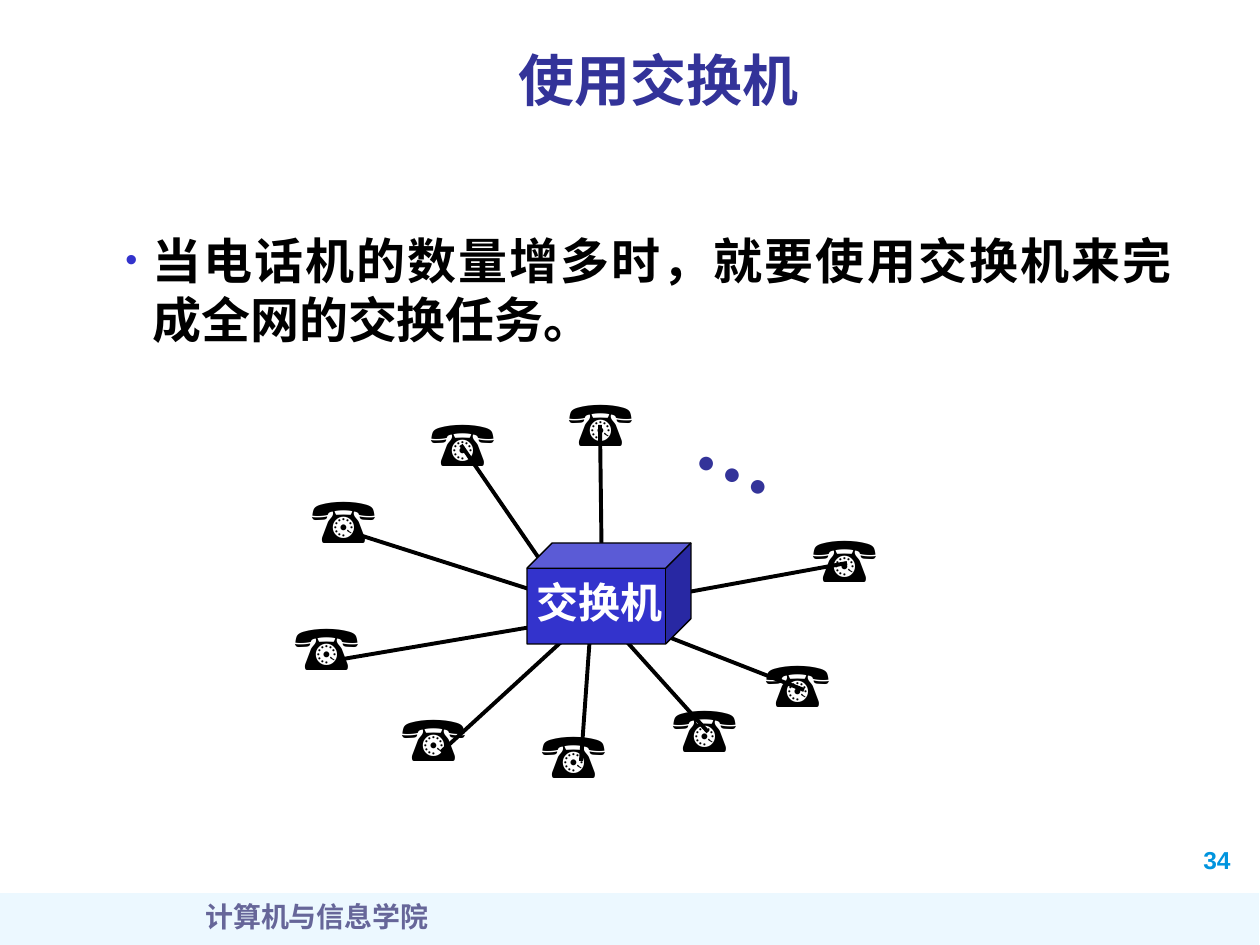
from lxml.etree import SubElement
from pptx import Presentation
from pptx.dml.color import RGBColor
from pptx.enum.shapes import MSO_CONNECTOR as Connector, MSO_SHAPE as Shape
from pptx.enum.text import MSO_ANCHOR as Anchor, PP_ALIGN as Align
from pptx.oxml.ns import qn
from pptx.util import Emu, Pt

EMU_PER_PX = 914400 / 126
COLORS = {
    "title": "333399",
    "switch": "3333CC",
    "ink": "000000",
    "white": "FFFFFF",
    "band": "A7E2FF",
    "number": "0094DE",
    "footer": "666699",
    "shadow": "C0C0C0",
}
SERIF, SANS = "Times New Roman", "Arial"

# Phone box corner, then the line from the phone to the switch
PHONES = [
    ((753, 638), (804, 690), (630, 622)),
    ((529, 709), (581, 761), (591, 622)),
    ((282, 601), (343, 659), (561, 622)),
    ((418, 397), (461, 445), (547, 570)),
    ((556, 377), (600, 425), (602, 583)),
    ((800, 513), (847, 563), (650, 599)),
    ((299, 474), (353, 533), (554, 597)),
    ((389, 692), (441, 752), (571, 633)),
    ((660, 683), (708, 732), (591, 602)),
]


def px(*values):
    return [Emu(round(value * EMU_PER_PX)) for value in values]


def rgb(name):
    return RGBColor.from_string(COLORS[name])


def add_run(paragraph, text, size, color, font):
    run = paragraph.add_run()
    run.text = text
    run.font.size = Pt(size)
    run.font.bold = True
    run.font.name = font
    run.font.color.rgb = rgb(color)
    return run


def add_text(slide, box, text, size, color, font=SERIF, align=Align.LEFT):
    shape = slide.shapes.add_textbox(*px(*box))
    shape.text_frame.word_wrap = True
    paragraph = shape.text_frame.paragraphs[0]
    paragraph.alignment = align
    add_run(paragraph, text, size, color, font)
    return shape


def add_solid(slide, kind, box, color):
    shape = slide.shapes.add_shape(kind, *px(*box))
    shape.shadow.inherit = False
    shape.fill.solid()
    shape.fill.fore_color.rgb = rgb(color)
    return shape


def add_line(slide, start, end):
    line = slide.shapes.add_connector(Connector.STRAIGHT, *px(*start, *end))
    line.line.color.rgb = rgb("ink")
    line.line.width = Pt(2.25)
    SubElement(line._element.spPr, qn("a:effectLst"))


def add_text_shadow(run):
    properties = run._r.get_or_add_rPr()
    effects = SubElement(properties, qn("a:effectLst"))
    shadow = SubElement(effects, qn("a:outerShdw"), dist="35921", dir="2700000")
    SubElement(shadow, qn("a:srgbClr"), val=COLORS["shadow"])
    properties.find(qn("a:solidFill")).addnext(effects)


def add_bullet(paragraph):
    indent = px(27)[0]
    properties = paragraph._p.get_or_add_pPr()
    properties.set("marL", str(indent))
    properties.set("indent", str(-indent))
    color = SubElement(properties, qn("a:buClr"))
    SubElement(color, qn("a:srgbClr"), val=COLORS["switch"])
    SubElement(properties, qn("a:buSzPct"), val="70000")
    SubElement(properties, qn("a:buFont"), typeface=SANS)
    SubElement(properties, qn("a:buChar"), char="•")


def add_footer(slide):
    band = add_solid(slide, Shape.RECTANGLE, (-1, 893, 1260, 55), "band")
    band.line.fill.background()
    color = band.fill._xPr.find(qn("a:solidFill"))[0]
    SubElement(color, qn("a:alpha"), val="21000")
    add_text(slide, (1191, 839, 74, 42), "34", 14, "number", SANS)
    add_text(slide, (34, 893, 566, 63), "计算机与信息学院", 16, "footer", align=Align.CENTER)


def set_title(slide, text):
    title = slide.shapes.title
    title.left, title.top, title.width, title.height = px(170, 32, 977, 95)
    title.text_frame.vertical_anchor = Anchor.MIDDLE
    paragraph = title.text_frame.paragraphs[0]
    paragraph.alignment = Align.CENTER
    add_text_shadow(add_run(paragraph, text, 32, "title", SERIF))


def add_switch(slide):
    cube = add_solid(slide, Shape.CUBE, (527, 543, 164, 101), "switch")
    cube.adjustments[0] = 0.25
    cube.line.color.rgb = rgb("ink")
    cube.line.width = Pt(0.75)
    add_text(slide, (524, 570, 154, 63), "交换机", 24, "white")


def main():
    presentation = Presentation()
    presentation.slide_width, presentation.slide_height = px(1260, 945)
    slide = presentation.slides.add_slide(presentation.slide_layouts[5])

    add_footer(slide)
    set_title(slide, "使用交换机")
    body = add_text(slide, (113, 224, 1071, 567),
                    "当电话机的数量增多时，就要使用交换机来完成全网的交换任务。",
                    28, "ink", SANS, Align.JUSTIFY)
    add_bullet(body.text_frame.paragraphs[0])

    ellipsis = add_text(slide, (689, 394, 110, 113), "…", 48, "title")
    ellipsis.rotation = 24.3
    for corner, start, end in PHONES:
        add_line(slide, start, end)
        add_text(slide, (*corner, 110, 88), "☎", 36, "ink")
    add_switch(slide)

    presentation.save("out.pptx")


if __name__ == "__main__":
    main()
